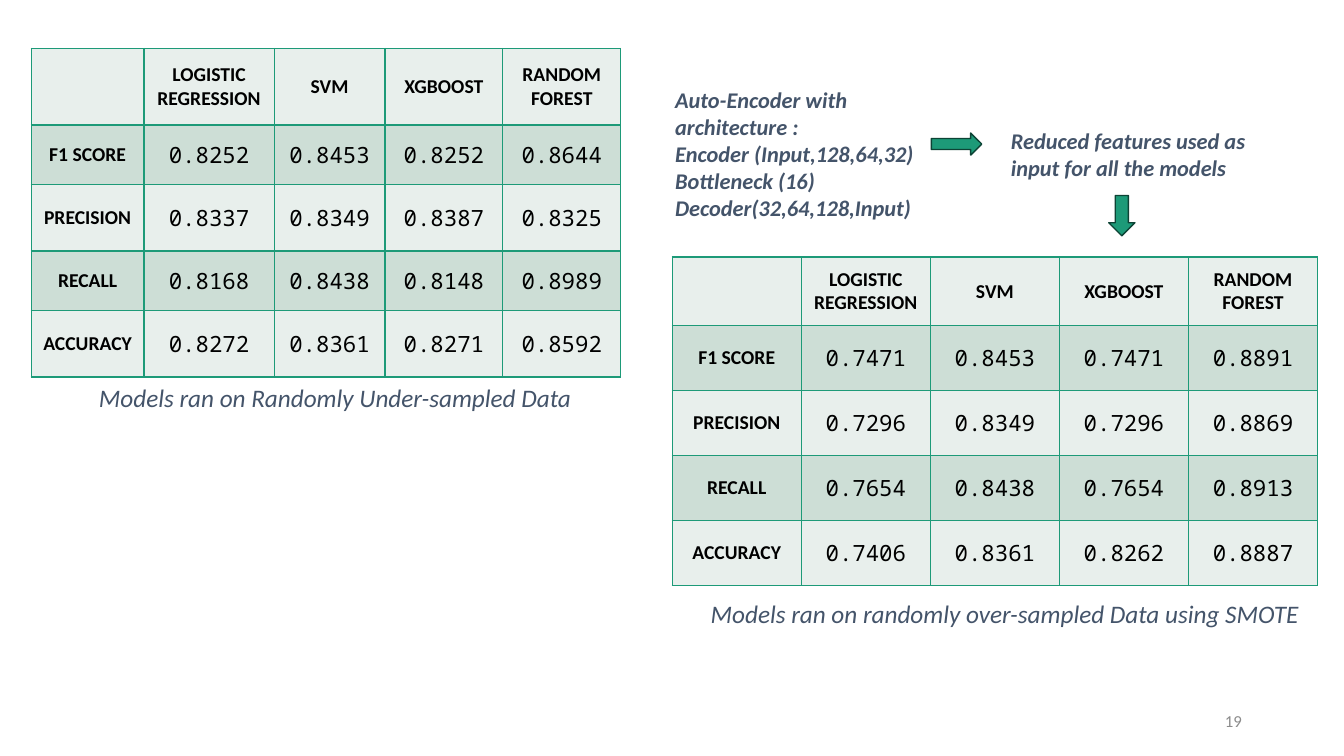
from dataclasses import dataclass

from lxml import etree
from pptx import Presentation
from pptx.dml.color import RGBColor
from pptx.enum.shapes import MSO_SHAPE
from pptx.enum.text import MSO_ANCHOR, PP_ALIGN
from pptx.oxml.ns import qn
from pptx.slide import Slide
from pptx.util import Pt

LEFT, CENTER, RIGHT = PP_ALIGN.LEFT, PP_ALIGN.CENTER, PP_ALIGN.RIGHT
TOP, MIDDLE = MSO_ANCHOR.TOP, MSO_ANCHOR.MIDDLE
RIGHT_ARROW, DOWN_ARROW = MSO_SHAPE.RIGHT_ARROW, MSO_SHAPE.DOWN_ARROW

BLANK_LAYOUT = 6
BODY_FONT, NUMBER_FONT = "Calibri", "Noto Sans Mono"
GREEN, DARK_GREEN = "1D9A78", "0D4335"
BANDS = ("E8EFEC", "CDDED6")
SLATE, GREY, BLACK = "44546A", "8C8C8C", "000000"

MODELS = ("LOGISTIC REGRESSION", "SVM", "XGBOOST", "RANDOM FOREST")
METRICS = ("F1 SCORE", "PRECISION", "RECALL", "ACCURACY")


@dataclass
class ScoreTable:
    left: float
    top: float
    widths: list[float]
    heights: list[float]
    scores: list[list[float]]


@dataclass
class Label:
    left: float
    top: float
    width: float
    height: float
    lines: list[str]
    size: float
    color: str = SLATE
    bold: bool = False
    italic: bool = True
    align: PP_ALIGN = LEFT
    anchor: MSO_ANCHOR = TOP
    line_spacing: float = 1.0


@dataclass
class Arrow:
    kind: MSO_SHAPE
    left: float
    top: float
    width: float
    height: float


TABLES = [
    ScoreTable(
        22.3, 34.6, [80.6, 92.9, 79.2, 84.2, 84.2], [54.7, 42.5, 47.5, 42.5, 47.5],
        [
            [0.8252, 0.8453, 0.8252, 0.8644],
            [0.8337, 0.8349, 0.8387, 0.8325],
            [0.8168, 0.8438, 0.8148, 0.8989],
            [0.8272, 0.8361, 0.8271, 0.8592],
        ],
    ),
    ScoreTable(
        480.2, 183.6, [92.2] * 5, [49] + [46.4] * 4,
        [
            [0.7471, 0.8453, 0.7471, 0.8891],
            [0.7296, 0.8349, 0.7296, 0.8869],
            [0.7654, 0.8438, 0.7654, 0.8913],
            [0.7406, 0.8361, 0.8262, 0.8887],
        ],
    ),
]

LABELS = [
    Label(-63.4, 272.2, 605.5, 49, ["Models ran on Randomly Under-sampled Data"], 18,
          align=CENTER, line_spacing=0.9),
    Label(422.6, 426.2, 590.4, 28.8, ["Models ran on randomly over-sampled Data using SMOTE"], 18,
          align=CENTER, line_spacing=0.9),
    Label(475.2, 58.3, 208, 104.4,
          ["Auto-Encoder with architecture :", "Encoder (Input,128,64,32)",
           "Bottleneck (16)", "Decoder(32,64,128,Input)"], 16, bold=True),
    Label(715, 87.1, 192.2, 46, ["Reduced features used as input for all the models"], 16, bold=True),
    Label(678.2, 500.4, 216, 28.8, ["19"], 12, GREY, italic=False, align=RIGHT, anchor=MIDDLE),
]

ARROWS = [
    Arrow(DOWN_ARROW, 792, 139.7, 18.7, 28.8),
    Arrow(RIGHT_ARROW, 665.3, 95, 36, 15.8),
]


def rgb(color: str) -> RGBColor:
    return RGBColor.from_string(color)


def add_borders(cell) -> None:
    properties = cell._tc.get_or_add_tcPr()
    for side in ("lnL", "lnR", "lnT", "lnB"):
        line = etree.SubElement(properties, qn(f"a:{side}"), w=str(Pt(1)))
        fill = etree.SubElement(line, qn("a:solidFill"))
        etree.SubElement(fill, qn("a:srgbClr"), val=GREEN)


def add_score_table(page: Slide, spec: ScoreTable) -> None:
    rows = [("", *MODELS)]
    for metric, scores in zip(METRICS, spec.scores):
        rows.append((metric, *(f"{score:.4f}" for score in scores)))
    frame = page.shapes.add_table(
        len(rows), len(rows[0]), Pt(spec.left), Pt(spec.top),
        Pt(sum(spec.widths)), Pt(sum(spec.heights)))
    table = frame.table
    table.first_row = table.horz_banding = False
    for column, width in zip(table.columns, spec.widths):
        column.width = Pt(width)
    for row, height in zip(table.rows, spec.heights):
        row.height = Pt(height)
    for row_index, texts in enumerate(rows):
        for column_index, text in enumerate(texts):
            cell = table.cell(row_index, column_index)
            add_borders(cell)
            cell.fill.solid()
            cell.fill.fore_color.rgb = rgb(BANDS[row_index % 2])
            cell.vertical_anchor = MIDDLE
            cell.text = text
            para = cell.text_frame.paragraphs[0]
            para.alignment = CENTER
            heading = row_index == 0 or column_index == 0
            para.font.name = BODY_FONT if heading else NUMBER_FONT
            para.font.size = Pt(14 if heading else 16)
            para.font.bold = heading
            para.font.color.rgb = rgb(BLACK)


def add_label(page: Slide, label: Label) -> None:
    box = page.shapes.add_textbox(
        Pt(label.left), Pt(label.top), Pt(label.width), Pt(label.height))
    frame = box.text_frame
    frame.word_wrap = True
    frame.vertical_anchor = label.anchor
    frame.text = "\n".join(label.lines)
    for para in frame.paragraphs:
        para.alignment = label.align
        para.line_spacing = label.line_spacing
        para.font.name = BODY_FONT
        para.font.size = Pt(label.size)
        para.font.bold = label.bold
        para.font.italic = label.italic
        para.font.color.rgb = rgb(label.color)


def add_arrow(page: Slide, arrow: Arrow) -> None:
    shape = page.shapes.add_shape(
        arrow.kind, Pt(arrow.left), Pt(arrow.top), Pt(arrow.width), Pt(arrow.height))
    shape.shadow.inherit = False
    shape.fill.solid()
    shape.fill.fore_color.rgb = rgb(GREEN)
    shape.line.color.rgb = rgb(DARK_GREEN)
    shape.line.width = Pt(1)


def main() -> None:
    deck = Presentation()
    deck.slide_width, deck.slide_height = Pt(960), Pt(540)
    page = deck.slides.add_slide(deck.slide_layouts[BLANK_LAYOUT])
    for table in TABLES:
        add_score_table(page, table)
    for label in LABELS:
        add_label(page, label)
    for arrow in ARROWS:
        add_arrow(page, arrow)
    deck.save("out.pptx")


if __name__ == "__main__":
    main()
